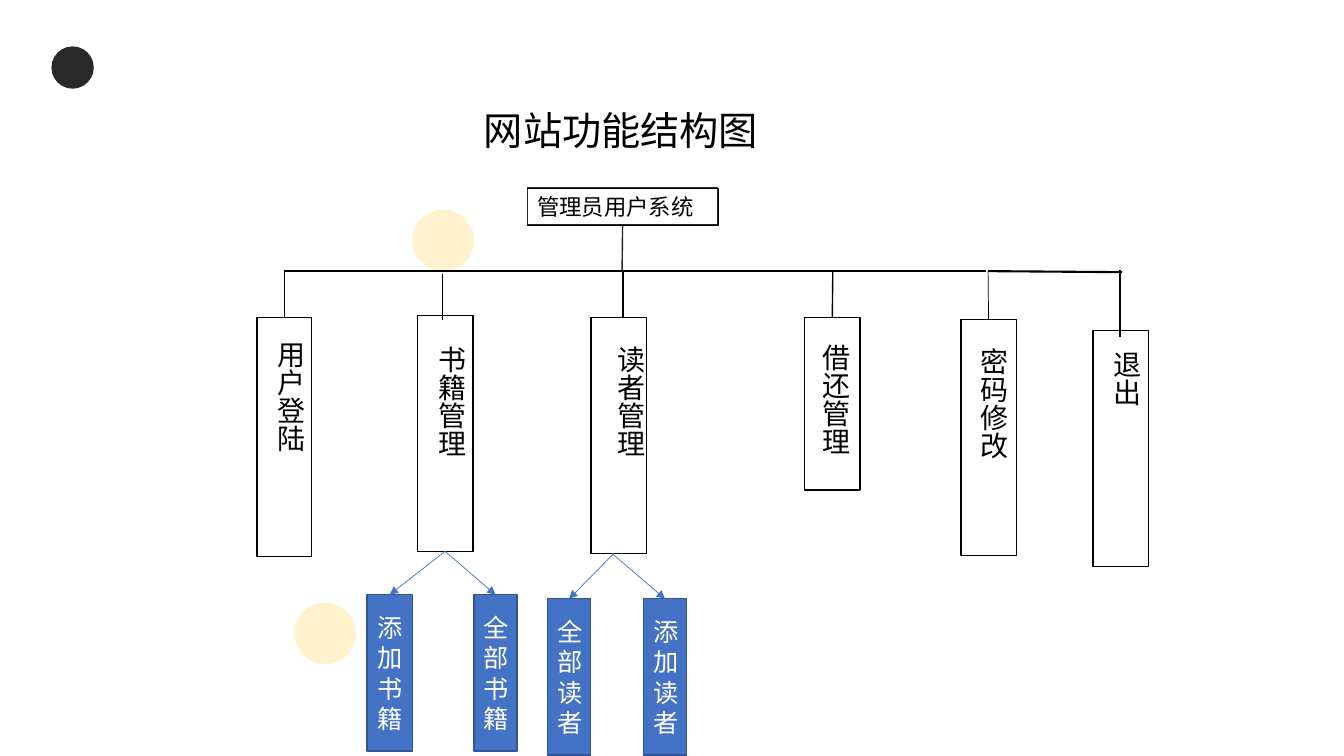
from dataclasses import dataclass
from typing import Optional

from lxml.etree import SubElement
from pptx import Presentation
from pptx.dml.color import RGBColor
from pptx.enum.shapes import MSO_CONNECTOR, MSO_SHAPE
from pptx.enum.text import MSO_ANCHOR, MSO_AUTO_SIZE, PP_ALIGN
from pptx.oxml.ns import qn
from pptx.shapes.autoshape import Shape
from pptx.shapes.connector import Connector
from pptx.slide import Slide
from pptx.text.text import TextFrame
from pptx.util import Inches, Pt

BLACK = RGBColor(0x00, 0x00, 0x00)
WHITE = RGBColor(0xFF, 0xFF, 0xFF)
CHARCOAL = RGBColor(0x29, 0x29, 0x29)
DARK_LINE = RGBColor(0x26, 0x26, 0x26)
CREAM = RGBColor(0xFF, 0xF2, 0xCC)
BLUE = RGBColor(0x44, 0x72, 0xC4)
BLUE_LINE = RGBColor(0x32, 0x54, 0x91)
FONT = "Arial"
BUS_Y = 2.69


@dataclass(frozen=True)
class Box:
    left: float
    top: float
    width: float
    height: float


@dataclass(frozen=True)
class Dot:
    box: Box
    color: RGBColor


@dataclass(frozen=True)
class Function:
    name: str
    box: Box
    label: Box
    stem_x: float
    stem_top: float
    stem_bottom: float
    stem_width: float = 1
    wraps: bool = False
    joined: bool = False


@dataclass(frozen=True)
class Action:
    name: str
    parent: str
    box: Box
    start_x: float
    start_y: float
    joined: bool = False


DOTS = [
    Dot(Box(0.51, 0.46, 0.42, 0.42), CHARCOAL),
    Dot(Box(4.09, 2.08, 0.61, 0.61), CREAM),
    Dot(Box(2.92, 5.98, 0.61, 0.61), CREAM),
]
FUNCTIONS = [
    Function("用户登陆", Box(2.55, 3.15, 0.54, 2.37), Box(2.56, 3.28, 0.54, 1.21),
             2.82, BUS_Y, 3.15, joined=True),
    Function("书籍管理", Box(4.14, 3.13, 0.55, 2.34), Box(4.15, 3.33, 0.54, 1.22),
             4.39, 2.72, 3.17),
    Function("读者管理", Box(5.86, 3.15, 0.55, 2.34), Box(5.93, 3.33, 0.54, 1.22),
             6.18, BUS_Y, 3.15),
    Function("借还管理", Box(7.98, 3.15, 0.55, 1.71), Box(7.96, 3.31, 0.54, 1.93),
             8.26, BUS_Y, 3.15, wraps=True, joined=True),
    Function("密码修改", Box(9.53, 3.17, 0.55, 2.34), Box(9.53, 3.35, 0.54, 1.69),
             9.8, BUS_Y, 3.17, stem_width=0.5, wraps=True, joined=True),
    Function("退出", Box(10.84, 3.28, 0.55, 2.34), Box(10.85, 3.38, 0.54, 1.69),
             11.11, 2.68, 3.34, stem_width=1.5, wraps=True),
]
ACTIONS = [
    Action("添加书籍", "书籍管理", Box(3.64, 5.9, 0.45, 1.55), 4.41, 5.47, joined=True),
    Action("全部书籍", "书籍管理", Box(4.7, 5.9, 0.43, 1.55), 4.41, 5.47, joined=True),
    Action("全部读者", "读者管理", Box(5.43, 5.94, 0.43, 1.55), 6.09, 5.49),
    Action("添加读者", "读者管理", Box(6.38, 5.94, 0.43, 1.55), 6.07, 5.49),
]


def lengths(box: Box) -> tuple:
    return Inches(box.left), Inches(box.top), Inches(box.width), Inches(box.height)


def add_figure(slide: Slide, kind: MSO_SHAPE, box: Box, fill: Optional[RGBColor] = None,
               line: Optional[RGBColor] = None, line_width: float = 1) -> Shape:
    shape = slide.shapes.add_shape(kind, *lengths(box))
    shape.shadow.inherit = False
    if fill is None:
        shape.fill.background()
    else:
        shape.fill.solid()
        shape.fill.fore_color.rgb = fill
    if line is None:
        shape.line.fill.background()
    else:
        shape.line.color.rgb = line
        shape.line.width = Pt(line_width)
    return shape


def write(frame: TextFrame, text: str, size: float, color: RGBColor = BLACK,
          align: PP_ALIGN = PP_ALIGN.LEFT, anchor: MSO_ANCHOR = MSO_ANCHOR.TOP,
          wraps: bool = True) -> None:
    frame.word_wrap = wraps
    frame.auto_size = MSO_AUTO_SIZE.NONE
    frame.vertical_anchor = anchor
    paragraph = frame.paragraphs[0]
    paragraph.alignment = align
    run = paragraph.add_run()
    run.text = text
    run.font.name = FONT
    run.font.size = Pt(size)
    run.font.color.rgb = color


def add_line(slide: Slide, start: tuple[float, float], end: tuple[float, float],
             color: RGBColor = BLACK, width: float = 1, arrow: bool = False) -> Connector:
    connector = slide.shapes.add_connector(
        MSO_CONNECTOR.STRAIGHT, *map(Inches, start), *map(Inches, end))
    connector.line.color.rgb = color
    connector.line.width = Pt(width)
    properties = connector.element.spPr
    if arrow:
        SubElement(properties.find(qn("a:ln")), qn("a:tailEnd"), type="triangle")
    SubElement(properties, qn("a:effectLst"))
    return connector


def add_function(slide: Slide, function: Function) -> Shape:
    shape = add_figure(slide, MSO_SHAPE.RECTANGLE, function.box, line=BLACK)
    stem = add_line(slide, (function.stem_x, function.stem_top),
                    (function.stem_x, function.stem_bottom), width=function.stem_width)
    if function.joined:
        stem.end_connect(shape, 0)
    label = slide.shapes.add_textbox(*lengths(function.label))
    write(label.text_frame, function.name, 20, wraps=function.wraps)
    label.text_frame.auto_size = MSO_AUTO_SIZE.SHAPE_TO_FIT_TEXT
    label.element.find(qn("p:txBody")).find(qn("a:bodyPr")).set("vert", "eaVert")
    return shape


def add_action(slide: Slide, action: Action, parent: Shape) -> None:
    box = action.box
    shape = add_figure(slide, MSO_SHAPE.RECTANGLE, box, BLUE, BLUE_LINE)
    write(shape.text_frame, action.name, 18, WHITE, PP_ALIGN.CENTER, MSO_ANCHOR.MIDDLE)
    arrow = add_line(slide, (action.start_x, action.start_y),
                     (box.left + box.width / 2, box.top), BLUE, 0.5, arrow=True)
    if action.joined:
        arrow.begin_connect(parent, 2)
    arrow.end_connect(shape, 0)


def main() -> None:
    presentation = Presentation()
    presentation.slide_width = Inches(13.33)
    presentation.slide_height = Inches(7.5)
    slide = presentation.slides.add_slide(presentation.slide_layouts[5])

    title = slide.shapes.title
    title.left, title.top, title.width, title.height = lengths(Box(4.7, 1, 2.95, 0.57))
    write(title.text_frame, "网站功能结构图", 28, wraps=False)

    for dot in DOTS:
        add_figure(slide, MSO_SHAPE.OVAL, dot.box, dot.color)

    system = add_figure(slide, MSO_SHAPE.RECTANGLE, Box(5.23, 1.87, 1.89, 0.37), line=BLACK)
    write(system.text_frame, "管理员用户系统", 16)
    add_figure(slide, MSO_SHAPE.RECTANGLE, Box(5.23, 1.86, 1.89, 0.37),
               line=DARK_LINE, line_width=0.75)
    trunk = add_line(slide, (6.18, 2.24), (6.17, 2.7), DARK_LINE)
    trunk.begin_connect(system, 2)

    add_line(slide, (6.17, BUS_Y), (2.82, BUS_Y))
    add_line(slide, (6.16, BUS_Y), (9.78, BUS_Y), width=1.5)
    add_line(slide, (9.8, BUS_Y), (11.13, 2.7), width=1.5)

    parents = {function.name: add_function(slide, function) for function in FUNCTIONS}
    for action in ACTIONS:
        add_action(slide, action, parents[action.parent])

    presentation.save("out.pptx")


if __name__ == "__main__":
    main()
